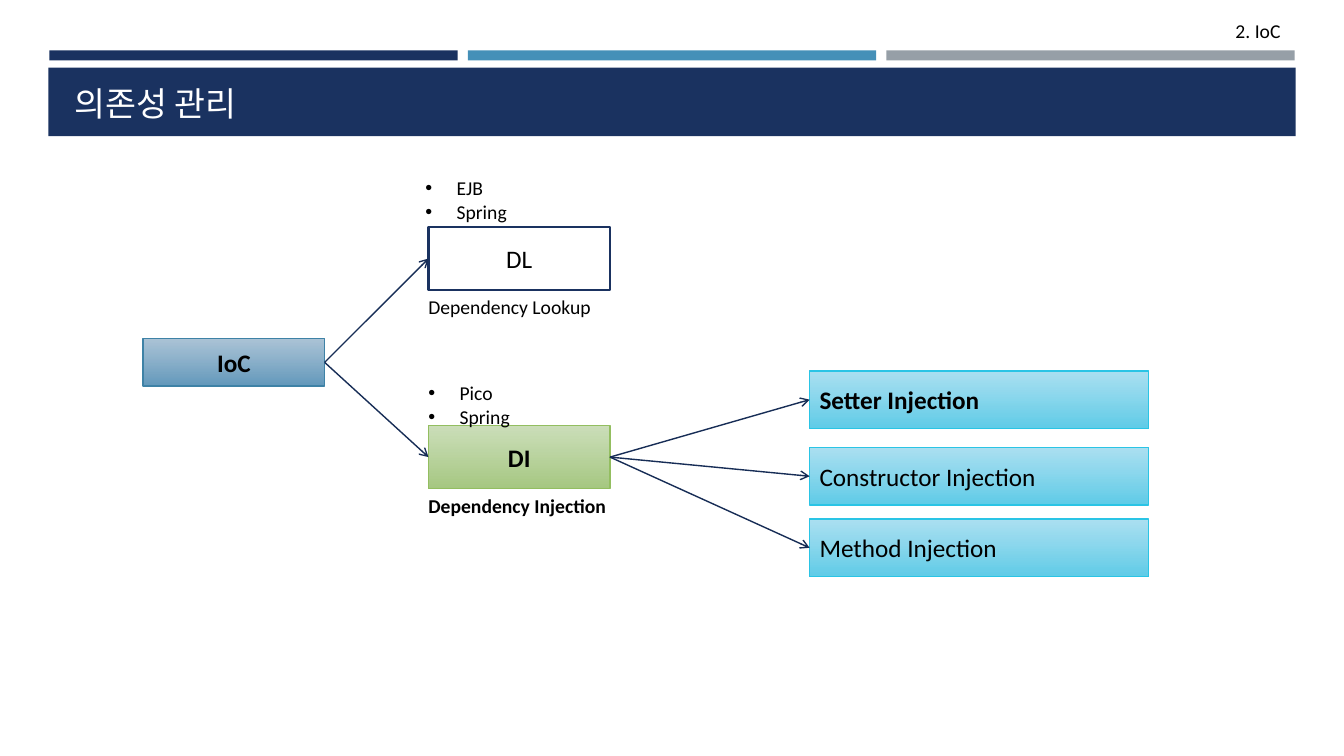
from pptx import Presentation
from pptx.dml.color import RGBColor
from pptx.enum.shapes import MSO_CONNECTOR, MSO_SHAPE
from pptx.enum.text import MSO_ANCHOR, MSO_AUTO_SIZE, PP_ALIGN
from pptx.oxml.ns import qn
from pptx.util import Inches, Pt
from lxml.etree import SubElement

NAVY, BLUE, GREY = "1A3260", "4590B8", "969FA7"
BLACK, WHITE, ARROW = "000000", "FFFFFF", "172D56"
# Gradient top, gradient bottom, outline
STEEL = ("A2BDD2", "6399BC", "3E82A6")
GREEN = ("C6DBB2", "A6C881", "93BE60")
AQUA = ("A2DDF0", "5FCCE8", "2AC4E5")
LEFT_SITE, RIGHT_SITE = 1, 3


def rgb(value):
    return RGBColor.from_string(value)


class SlideBuilder:
    font = "Calibri"

    def __init__(self, s):
        self.s = s

    def format_text(self, tf, size, color=BLACK, bold=False, align=PP_ALIGN.LEFT):
        for p in tf.paragraphs:
            p.alignment = align
            for r in p.runs:
                r.font.name = self.font
                r.font.size = Pt(size)
                r.font.bold = bold
                r.font.color.rgb = rgb(color)

    def place(self, sp, box):
        sp.left, sp.top, sp.width, sp.height = map(Inches, box)

    def title(self, text, box):
        sp = self.s.shapes.title
        self.place(sp, box)
        sp.element.getparent().append(sp.element)  # bring in front of the band
        tf = sp.text_frame
        tf.text = text
        tf.auto_size = MSO_AUTO_SIZE.NONE
        tf.vertical_anchor = MSO_ANCHOR.BOTTOM
        self.format_text(tf, 24, WHITE)

    def bar(self, box, fill):
        sp = self.s.shapes.add_shape(MSO_SHAPE.RECTANGLE, *map(Inches, box))
        sp.shadow.inherit = False
        sp.fill.solid()
        sp.fill.fore_color.rgb = rgb(fill)
        sp.line.fill.background()
        return sp

    def node(self, text, box, colors=None, bold=False, align=PP_ALIGN.CENTER):
        sp = self.bar(box, WHITE)
        if colors:
            sp.fill.gradient()
            sp.fill.gradient_angle = 270
            for stop, color in zip(sp.fill.gradient_stops, colors):
                stop.color.rgb = rgb(color)
            top = next(sp.element.iter(qn("a:srgbClr")))
            SubElement(top, qn("a:alpha"), val="90000")
        sp.line.color.rgb = rgb(colors[2] if colors else NAVY)
        sp.line.width = Pt(1 if colors else 1.75)
        tf = sp.text_frame
        tf.text = text
        tf.vertical_anchor = MSO_ANCHOR.MIDDLE
        self.format_text(tf, 18, bold=bold, align=align)
        return sp

    def arrow(self, start, end):
        c = self.s.shapes.add_connector(MSO_CONNECTOR.STRAIGHT, 0, 0, 0, 0)
        c.begin_connect(start, RIGHT_SITE)
        c.end_connect(end, LEFT_SITE)
        c.line.color.rgb = rgb(ARROW)
        c.line.width = Pt(1)
        SubElement(c.line._get_or_add_ln(), qn("a:tailEnd"), type="arrow")
        SubElement(c.element.spPr, qn("a:effectLst"))

    def label(self, text, box, bold=False, align=PP_ALIGN.LEFT, wrap=False):
        tf = self.s.shapes.add_textbox(*map(Inches, box)).text_frame
        tf.text = text
        tf.word_wrap = wrap
        tf.auto_size = MSO_AUTO_SIZE.SHAPE_TO_FIT_TEXT
        self.format_text(tf, 14, bold=bold, align=align)
        return tf

    def bullets(self, items, box):
        tf = self.label("\n".join(items), box)
        indent = Inches(0.31)
        for p in tf.paragraphs:
            pPr = p._p.get_or_add_pPr()
            pPr.set("marL", str(indent))
            pPr.set("indent", str(-indent))
            SubElement(pPr, qn("a:buFont"), typeface="Arial")
            SubElement(pPr, qn("a:buChar"), char="•")


def main():
    prs = Presentation()
    prs.slide_width, prs.slide_height = Inches(13.33), Inches(7.5)
    s = prs.slides.add_slide(prs.slide_layouts[5])
    b = SlideBuilder(s)

    # Header
    for i, color in enumerate((NAVY, BLUE, GREY)):
        b.bar((0.49 + 4.15 * i, 0.5, 4.05, 0.1), color)
    b.label("2. IoC", (8.76, 0.14, 4.04, 0.34), align=PP_ALIGN.RIGHT, wrap=True)
    b.bar((0.48, 0.67, 12.37, 0.68), NAVY)
    b.title("의존성 관리", (0.64, 0.72, 12.06, 0.55))

    # Concept boxes
    ioc = b.node("IoC", (1.42, 3.36, 1.8, 0.47), STEEL, bold=True)
    dl = b.node("DL", (4.25, 2.25, 1.8, 0.63))
    di = b.node("DI", (4.25, 4.22, 1.8, 0.63), GREEN, bold=True)

    # Kinds of injection
    kinds = (("Setter", 3.68), ("Constructor", 4.44), ("Method", 5.15))
    injections = [
        b.node(f"{kind} Injection", (8.03, top, 3.36, 0.57), AQUA,
               bold=kind == "Setter", align=PP_ALIGN.LEFT)
        for kind, top in kinds
    ]

    # Arrows
    for start, ends in ((ioc, (dl, di)), (di, injections)):
        for end in ends:
            b.arrow(start, end)

    # Frameworks and captions
    b.bullets(("EJB", "Spring"), (4.12, 1.7, 1.01, 0.57))
    b.bullets(("Pico", "Spring"), (4.15, 3.73, 1.01, 0.57))
    b.label("Dependency Lookup", (4.15, 2.88, 1.86, 0.34))
    b.label("Dependency Injection", (4.15, 4.85, 2.2, 0.34), bold=True)

    prs.save("out.pptx")


if __name__ == "__main__":
    main()
